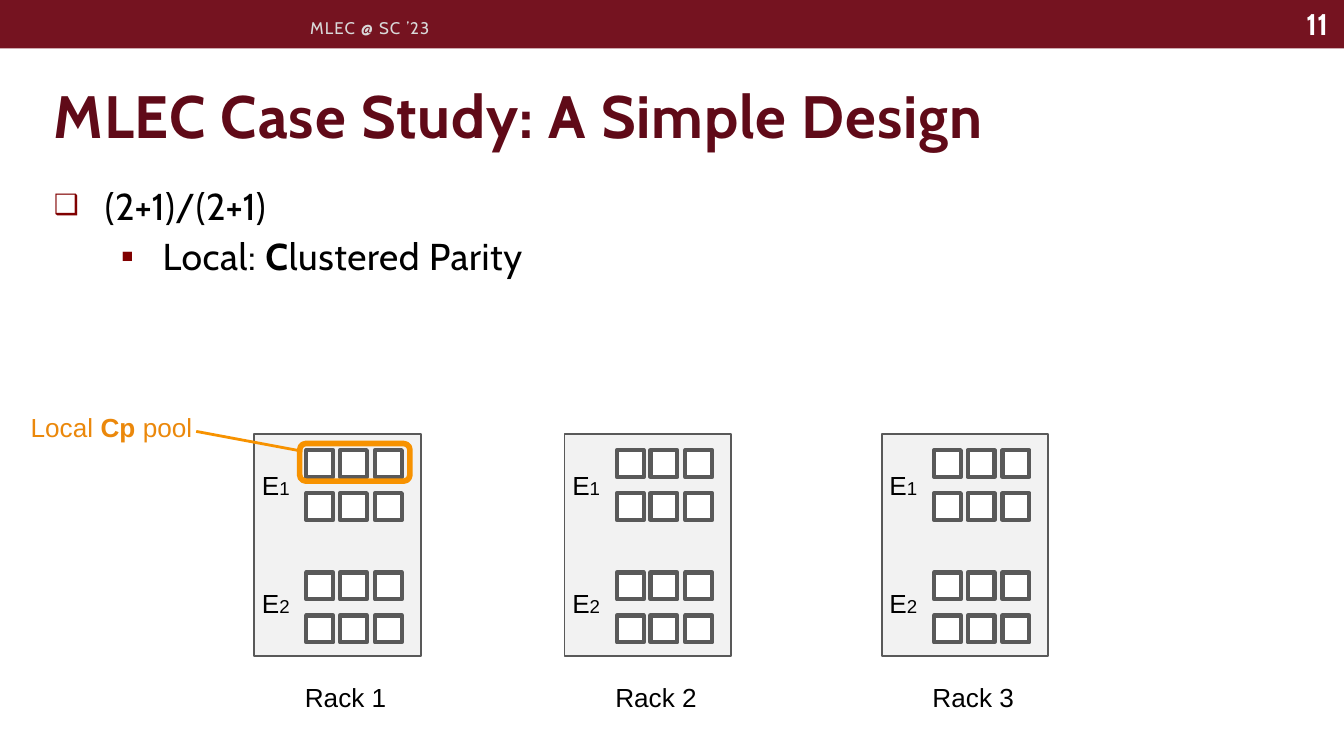
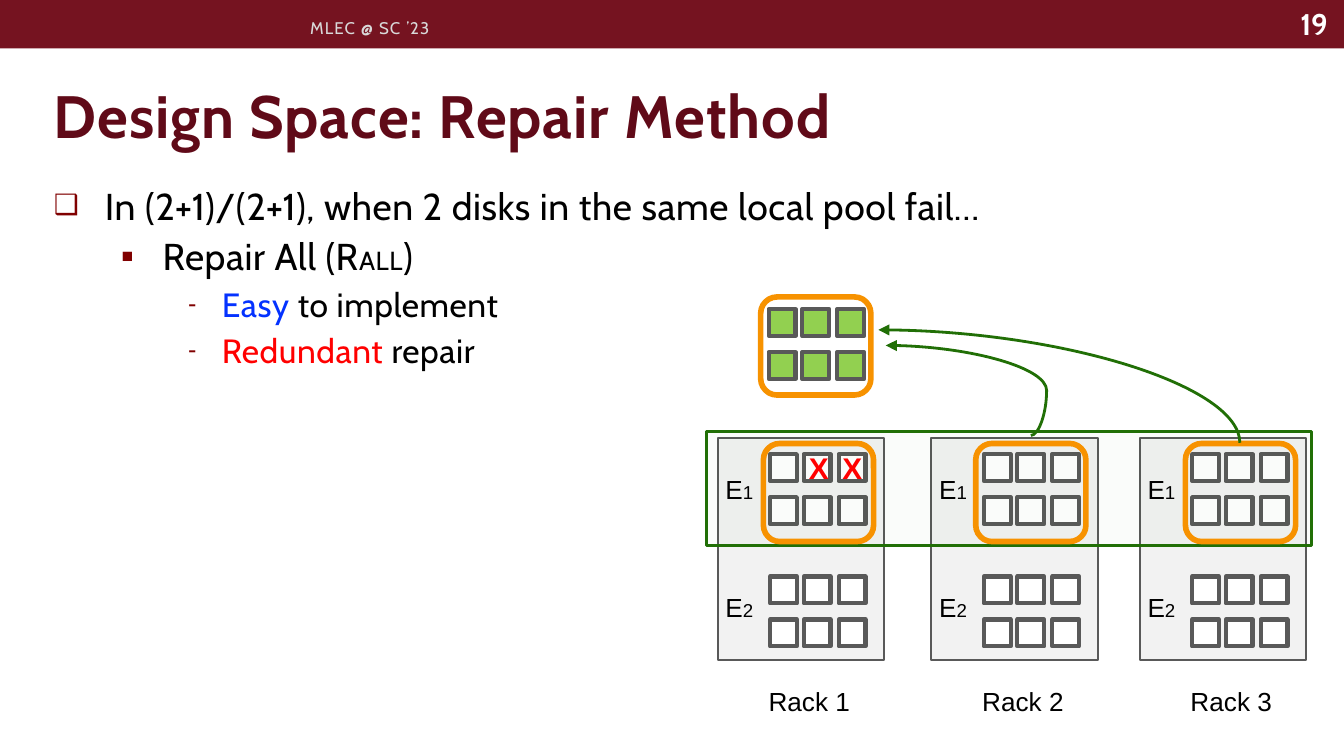
"""Build two slides on a simple multi-level erasure coding design and its repair method."""
import lxml.etree
import pptx
import pptx.dml.color
import pptx.enum.shapes
import pptx.enum.text
import pptx.oxml.ns
import pptx.util

PX = 9144
COLORS = {
    "band": "751320", "title": "600A18", "bullet": "800000", "black": "000000",
    "white": "FFFFFF", "header": "D9D9D9", "rack": "F2F2F2", "outline": "595959",
    "pool": "F79200", "pool_text": "EB880B", "green": "216F06", "repaired": "92D050",
    "blue": "0432FF", "red": "FF0000",
}
SHAPES = pptx.enum.shapes.MSO_SHAPE
ALIGN = pptx.enum.text.PP_ALIGN
ANCHOR = pptx.enum.text.MSO_ANCHOR
AUTO_SIZE = pptx.enum.text.MSO_AUTO_SIZE
RGB = pptx.dml.color.RGBColor.from_string
Pt = pptx.util.Pt
qn = pptx.oxml.ns.qn
SubElement = lxml.etree.SubElement

PLAIN = ("Arial", 0, ALIGN.LEFT, ANCHOR.TOP, AUTO_SIZE.SHAPE_TO_FIT_TEXT)
HEADER = ("Cabin", 60, ALIGN.LEFT, ANCHOR.MIDDLE, AUTO_SIZE.NONE)
NUMBER = ("Cabin", 0, ALIGN.RIGHT, ANCHOR.MIDDLE, AUTO_SIZE.NONE)

LEVELS = [(38, 38, 15, "❑", 75), (81, 31, 3, "▪", 100), (125, 25, 3, "-", 75)]
DISK_SIZE = 20
ENCLOSURE_TOPS = (12, 103)
DISK_ROW_STEP = 32

SLIDES = [
    {
        "number": "11",
        "title": "MLEC Case Study: A Simple Design",
        "body": [
            (0, [("(2+1)/(2+1)", 20, "black", False)]),
            (1, [("Local: ", 20, "black", False), ("C", 20, "black", True),
                 ("lustered Parity", 20, "black", False)]),
        ],
        "rack_top": 323,
        "rack_lefts": (189, 420, 656),
        "spare_disks": [],
        "stripe": None,
        "pools": [(223, 330, 82, 28)],
        "connectors": [("line", (146, 321, 75, 14), 180, False, None, "pool", False)],
        "labels": [
            ((13, 301, 143, 34), [("Local ", 14, "pool_text", False), ("Cp", 14, "pool_text", True),
                                  (" pool", 14, "pool_text", False)], PLAIN),
        ],
    },
    {
        "number": "19",
        "title": "Design Space: Repair Method",
        "body": [
            (0, [("In (2+1)/(2+1), when 2 disks in the same local pool fail…", 20, "black", False)]),
            (1, [("Repair All (R", 20, "black", False), ("ALL", 14, "black", False),
                 (")", 20, "black", False)]),
            (2, [("Easy", 18, "blue", False), (" to implement", 18, "black", False)]),
            (2, [("Redundant", 18, "red", False), (" repair", 18, "black", False)]),
        ],
        "rack_top": 326,
        "rack_lefts": (534, 693, 848),
        "spare_disks": [(572, 230, "repaired")],
        "stripe": (526, 321, 450, 85),
        "pools": [(left, top, 82, 73) for left, top in ((568, 330), (726, 330), (882, 330), (566, 221))],
        "connectors": [
            ("curvedConnector3", (659, 257, 108, 67), 180, False, -10900, "green", True),
            ("curvedConnector2", (746, 153, 84, 269), 270, True, None, "green", True),
        ],
        "labels": [((left, 330, 39, 37), [("X", 16, "red", True)], PLAIN) for left in (592, 617)],
    },
]


def add_box(slide, kind, area, fill, line, width):
    shape = slide.shapes.add_shape(kind, *(value * PX for value in area))
    shape.shadow.inherit = False
    if fill:
        shape.fill.solid()
        shape.fill.fore_color.rgb = RGB(COLORS[fill])
    else:
        shape.fill.background()
    if line:
        shape.line.color.rgb = RGB(COLORS[line])
        shape.line.width = Pt(width)
    else:
        shape.line.fill.background()
    return shape


def add_runs(paragraph, runs, font, spacing):
    for text, size, color, bold in runs:
        run = paragraph.add_run()
        run.text = text
        run.font.name = font
        run.font.size = Pt(size)
        run.font.bold = bold
        run.font.color.rgb = RGB(COLORS[color])
        run.font._element.set("spc", str(spacing))


presentation = pptx.Presentation()
presentation.slide_width = 1000 * PX
presentation.slide_height = presentation.slide_width * 9 // 16
layout = presentation.slide_layouts[1]

for content in SLIDES:
    slide = presentation.slides.add_slide(layout)
    add_box(slide, SHAPES.RECTANGLE, (0, 0, 1000, 36), "band", None, 0)

    title, body = slide.placeholders
    for placeholder, area, anchor in ((title, (30, 23, 943, 94), ANCHOR.BOTTOM),
                                      (body, (30, 131, 943, 156), ANCHOR.TOP)):
        placeholder.left, placeholder.top, placeholder.width, placeholder.height = (
            value * PX for value in area)
        placeholder.text_frame.vertical_anchor = anchor
        placeholder.text_frame.auto_size = AUTO_SIZE.NONE
    paragraph = title.text_frame.paragraphs[0]
    paragraph.alignment = ALIGN.LEFT
    add_runs(paragraph, [(content["title"], 32, "title", True)], "Cabin", 50)

    for index, (level, runs) in enumerate(content["body"]):
        frame = body.text_frame
        paragraph = frame.add_paragraph() if index else frame.paragraphs[0]
        margin, hanging, space, bullet, percent = LEVELS[level]
        paragraph.level = level
        paragraph.space_before = Pt(space)
        properties = paragraph._p.get_or_add_pPr()
        properties.set("marL", str(margin * PX))
        properties.set("indent", str(-hanging * PX))
        bullet_color = SubElement(properties, qn("a:buClr"))
        SubElement(bullet_color, qn("a:srgbClr"), val=COLORS["bullet"])
        SubElement(properties, qn("a:buSzPct"), val=str(percent * 1000))
        SubElement(properties, qn("a:buChar"), char=bullet)
        add_runs(paragraph, runs, "Cabin", 30)

    labels = [
        ((910, -1, 88, 37), [(content["number"], 16, "white", True)], NUMBER),
        ((221, 6, 356, 29), [("MLEC @ SC ’23", 9, "header", False)], HEADER),
    ]
    disk_groups = list(content["spare_disks"])
    rack_top = content["rack_top"]
    for rack, left in enumerate(content["rack_lefts"], 1):
        add_box(slide, SHAPES.RECTANGLE, (left, rack_top, 124, 165), "rack", "outline", 1)
        labels.append(((left + 28, rack_top + 179, 93, 34),
                       [(f"Rack {rack}", 14, "black", False)], PLAIN))
        for enclosure, offset in enumerate(ENCLOSURE_TOPS, 1):
            disk_groups.append((left + 39, rack_top + offset, "white"))
            labels.append(((left - 4, rack_top + 21 + 88 * (enclosure - 1), 43, 34),
                           [("E", 14, "black", False), (str(enclosure), 10, "black", False)], PLAIN))

    for left, top, fill in disk_groups:
        for row in range(2):
            for column in range(3):
                area = (left + 51 * column // 2, top + DISK_ROW_STEP * row, DISK_SIZE, DISK_SIZE)
                add_box(slide, SHAPES.RECTANGLE, area, fill, "outline", 2.25)

    if content["stripe"]:
        stripe = add_box(slide, SHAPES.RECTANGLE, content["stripe"], "green", "green", 1.5)
        fill_color = stripe._element.spPr.find(qn("a:solidFill")).find(qn("a:srgbClr"))
        SubElement(fill_color, qn("a:alpha"), val="2000")
    for area in content["pools"]:
        add_box(slide, SHAPES.ROUNDED_RECTANGLE, area, None, "pool", 3)

    for preset, area, rotation, flipped, bend, color, arrow in content["connectors"]:
        left, top, width, height = (value * PX for value in area)
        connector = slide.shapes.add_connector(
            pptx.enum.shapes.MSO_CONNECTOR.STRAIGHT, left, top, left + width, top + height)
        connector.line.color.rgb = RGB(COLORS[color])
        connector.line.width = Pt(1.5)
        properties = connector._element.spPr
        transform = properties.find(qn("a:xfrm"))
        transform.set("rot", str(rotation * 60000))
        if flipped:
            transform.set("flipV", "1")
        geometry = properties.find(qn("a:prstGeom"))
        geometry.set("prst", preset)
        if bend is not None:
            SubElement(geometry.find(qn("a:avLst")), qn("a:gd"), name="adj1", fmla=f"val {bend}")
        if arrow:
            SubElement(properties.find(qn("a:ln")), qn("a:tailEnd"), type="triangle")
        SubElement(properties, qn("a:effectLst"))

    for area, runs, (font, spacing, alignment, anchor, auto_size) in labels + content["labels"]:
        box = slide.shapes.add_textbox(*(value * PX for value in area))
        box.text_frame.word_wrap = True
        box.text_frame.auto_size = auto_size
        box.text_frame.vertical_anchor = anchor
        paragraph = box.text_frame.paragraphs[0]
        paragraph.alignment = alignment
        add_runs(paragraph, runs, font, spacing)

presentation.save("out.pptx")
